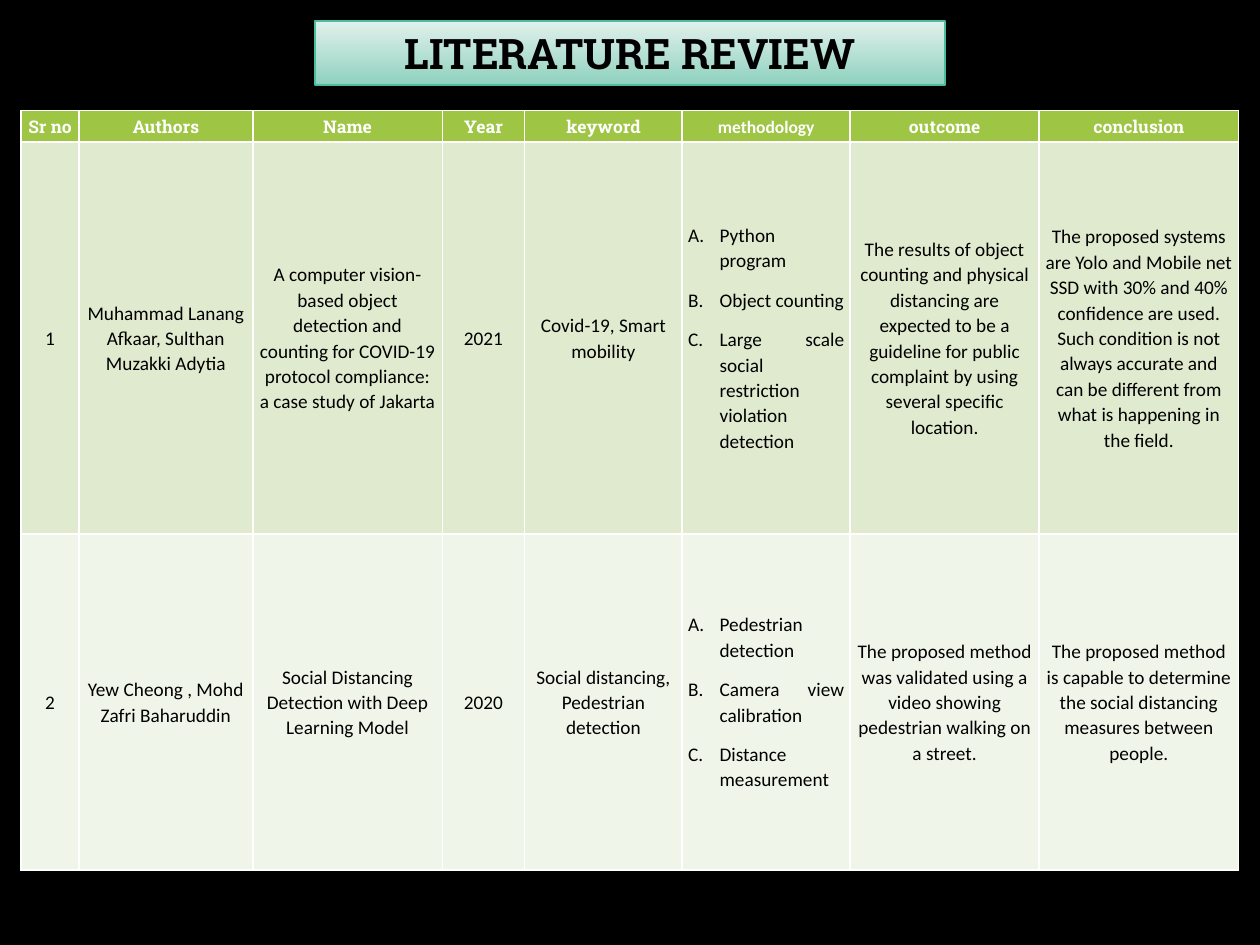
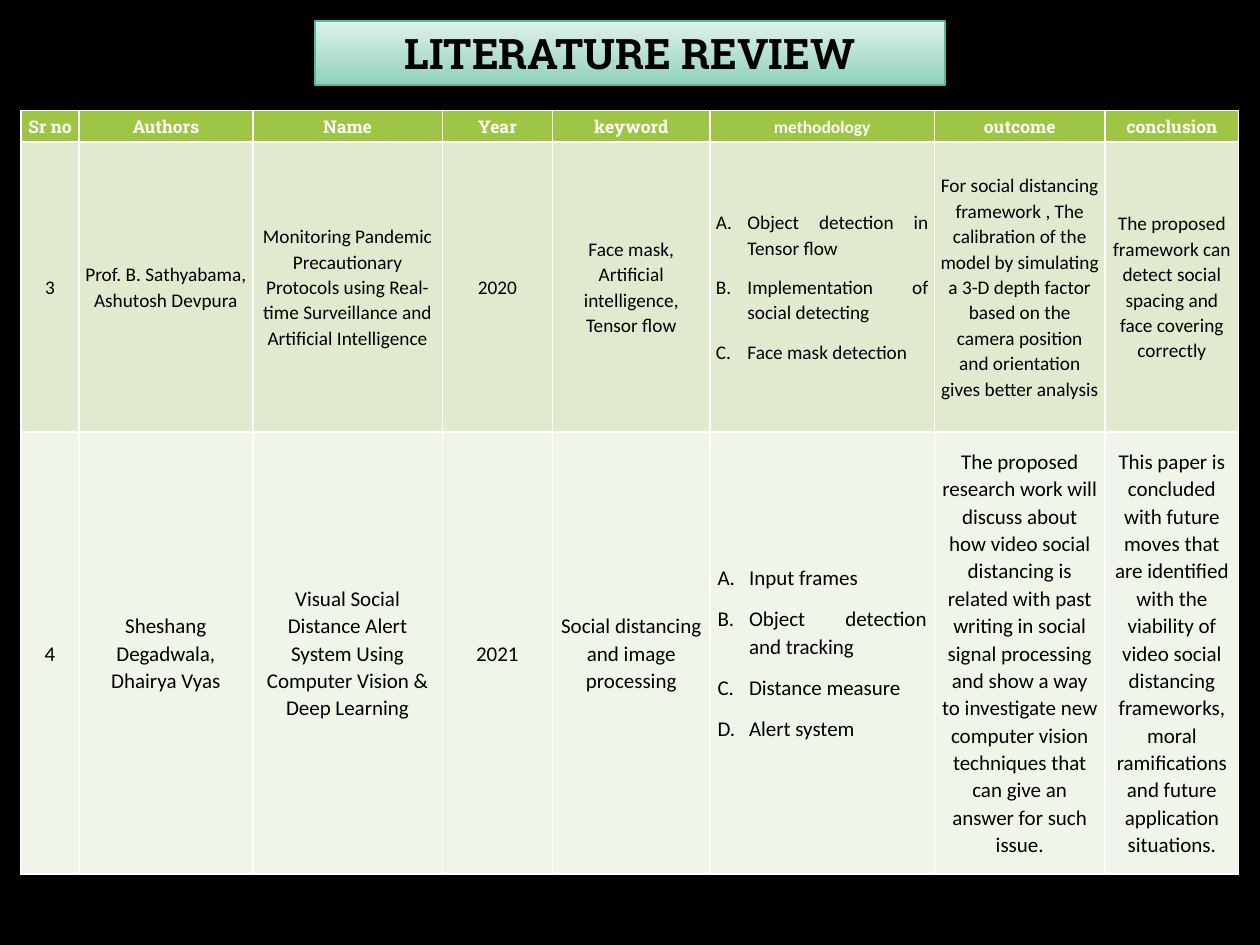
"""Build two literature review slides, each with a titled table of papers."""
from lxml import etree
from pptx import Presentation
from pptx.dml.color import RGBColor
from pptx.enum.text import MSO_ANCHOR, MSO_AUTO_SIZE, PP_ALIGN
from pptx.oxml.ns import qn
from pptx.util import Pt

CENTER, JUSTIFY = PP_ALIGN.CENTER, PP_ALIGN.JUSTIFY
MIDDLE, NO_AUTOFIT = MSO_ANCHOR.MIDDLE, MSO_AUTO_SIZE.NONE

BLACK = RGBColor(0x00, 0x00, 0x00)
WHITE = RGBColor(0xFF, 0xFF, 0xFF)
MINT_LIGHT = RGBColor(0xE1, 0xF1, 0xEC)
MINT_DARK = RGBColor(0x8F, 0xD1, 0xBE)
MINT_LINE = RGBColor(0x4C, 0xBC, 0xA1)
HEADER_GREEN = RGBColor(0x9E, 0xC5, 0x44)
BAND_FILLS = RGBColor(0xDF, 0xEA, 0xCF), RGBColor(0xF0, 0xF5, 0xE9)

BODY_FONT, HEADING_FONT = "Calibri", "Roboto Slab"
TITLE = "LITERATURE REVIEW"
HEADERS = ["Sr no", "Authors", "Name", "Year", "keyword", "methodology",
           "outcome", "conclusion"]

REVIEWS = [
    {
        "widths": [33.1, 99.4, 108.3, 47.1, 90, 96, 108, 114],
        "heights": [17.3, 223.9, 192.2],
        "sizes": [11, 11],
        "papers": [
            ["1", "Muhammad Lanang Afkaar, Sulthan Muzakki Adytia",
             "A computer vision-based object detection and counting for COVID-19 "
             "protocol compliance: a case study of Jakarta",
             "2021", "Covid-19, Smart mobility",
             ["Python program", "Object counting",
              "Large scale social restriction violation detection"],
             "The results of object counting and physical distancing are expected to be "
             "a guideline for public complaint by using several specific location.",
             "The proposed systems are Yolo and Mobile net SSD with 30% and 40% "
             "confidence are used. Such condition is not always accurate and can be "
             "different from what is happening in the field."],
            ["2", "Yew Cheong , Mohd Zafri Baharuddin",
             "Social Distancing Detection with Deep Learning Model",
             "2020", "Social distancing, Pedestrian detection",
             ["Pedestrian detection", "Camera view calibration", "Distance measurement"],
             "The proposed method was validated using a video showing pedestrian walking "
             "on a street.",
             "The proposed method is capable to determine the social distancing measures "
             "between people."],
        ],
    },
    {
        "widths": [33.1, 99.4, 108.3, 63, 90, 128.2, 97.6, 76.3],
        "heights": [16.6, 165.6, 252.7],
        "sizes": [11, 12],
        "papers": [
            ["3", "Prof. B. Sathyabama, Ashutosh Devpura",
             "Monitoring Pandemic Precautionary Protocols using Real-time Surveillance "
             "and Artificial Intelligence",
             "2020", "Face mask, Artificial intelligence, Tensor flow",
             ["Object detection in Tensor flow", "Implementation of social detecting",
              "Face mask detection"],
             "For social distancing framework , The calibration of the model by simulating "
             "a 3-D depth factor based on the camera position and orientation gives better "
             "analysis",
             "The proposed framework can detect social spacing and face covering correctly"],
            ["4", "Sheshang Degadwala, Dhairya Vyas",
             "Visual Social Distance Alert System Using Computer Vision & Deep Learning",
             "2021", "Social distancing and image processing",
             ["Input frames", "Object detection and tracking", "Distance measure",
              "Alert system"],
             "The proposed research work will discuss about how video social distancing is "
             "related with past writing in social signal processing and show a way to "
             "investigate new computer vision techniques that can give an answer for such "
             "issue.",
             "This paper is concluded with future moves that are identified with the "
             "viability of video social distancing frameworks, moral ramifications and "
             "future application situations."],
        ],
    },
]

TITLE_BOX = Pt(180), Pt(12), Pt(360), Pt(36.6)
TABLE_LEFT, TABLE_TOP = 12, 63.2
INSETS = {11: 3.4, 12: 4.3}
LIST_INDENT = Pt(18)


def set_font(paragraph, name, size, color, bold):
    """Set the whole font of a paragraph."""
    font = paragraph.font
    font.name, font.size, font.bold = name, Pt(size), bold
    font.color.rgb = color


def add_title(slide):
    """Turn the title placeholder into the mint banner."""
    title = slide.shapes.title
    title.left, title.top, title.width, title.height = TITLE_BOX
    title.fill.gradient()
    title.fill.gradient_angle = 270
    for stop, color, position in zip(title.fill.gradient_stops,
                                     (MINT_LIGHT, MINT_DARK), (0, 1)):
        stop.color.rgb, stop.position = color, position
    title.line.color.rgb, title.line.width = MINT_LINE, Pt(0.75)
    frame = title.text_frame
    frame.text = TITLE
    frame.auto_size, frame.vertical_anchor = NO_AUTOFIT, MIDDLE
    paragraph = frame.paragraphs[0]
    paragraph.alignment = CENTER
    set_font(paragraph, HEADING_FONT, 24, BLACK, True)


def add_borders(cell):
    """Draw a white line on all four sides of a cell."""
    properties = cell._tc.get_or_add_tcPr()
    for side in ("lnL", "lnR", "lnT", "lnB"):
        line = etree.SubElement(properties, qn(f"a:{side}"), w=str(Pt(1)))
        fill = etree.SubElement(line, qn("a:solidFill"))
        etree.SubElement(fill, qn("a:srgbClr"), val=str(WHITE))


def add_letter(paragraph):
    """Number a paragraph A., B., C. with a hanging indent."""
    properties = paragraph._p.get_or_add_pPr()
    properties.set("marL", str(LIST_INDENT))
    properties.set("indent", str(-LIST_INDENT))
    etree.SubElement(properties, qn("a:buFont"), typeface="+mj-lt")
    etree.SubElement(properties, qn("a:buAutoNum"), type="alphaUcPeriod")


def fill_cell(cell, content, fill, inset, font):
    """Write centred text or a lettered list into a cell."""
    add_borders(cell)
    cell.fill.solid()
    cell.fill.fore_color.rgb = fill
    cell.vertical_anchor = MIDDLE
    cell.margin_left = cell.margin_right = Pt(inset)
    cell.margin_top = cell.margin_bottom = Pt(2)
    is_list = isinstance(content, list)
    cell.text_frame.text = "\n".join(content) if is_list else content
    for paragraph in cell.text_frame.paragraphs:
        paragraph.alignment = JUSTIFY if is_list else CENTER
        paragraph.line_spacing, paragraph.space_after = 1.07, Pt(8)
        if is_list:
            add_letter(paragraph)
        set_font(paragraph, *font)


def add_review_table(slide, review):
    """Add the table of papers for one slide."""
    widths, heights = review["widths"], review["heights"]
    table = slide.shapes.add_table(
        len(heights), len(widths), Pt(TABLE_LEFT), Pt(TABLE_TOP),
        Pt(sum(widths)), Pt(sum(heights))).table
    for column, width in zip(table.columns, widths):
        column.width = Pt(width)
    for row, height in zip(table.rows, heights):
        row.height = Pt(height)
    for index, header in enumerate(HEADERS):
        name = BODY_FONT if header == "methodology" else HEADING_FONT
        fill_cell(table.cell(0, index), header, HEADER_GREEN, INSETS[11],
                  (name, 10, WHITE, True))
    bands = zip(review["papers"], BAND_FILLS, review["sizes"])
    for row, (paper, fill, size) in enumerate(bands, start=1):
        for index, content in enumerate(paper):
            fill_cell(table.cell(row, index), content, fill, INSETS[size],
                      (BODY_FONT, size, BLACK, False))


def main():
    """Build and save the deck."""
    deck = Presentation()
    deck.slide_width, deck.slide_height = Pt(720), Pt(540)
    background = deck.slide_master.background.fill
    background.solid()
    background.fore_color.rgb = BLACK
    for review in REVIEWS:
        slide = deck.slides.add_slide(deck.slide_layouts.get_by_name("Title Only"))
        add_title(slide)
        add_review_table(slide, review)
    deck.save("out.pptx")


if __name__ == "__main__":
    main()
